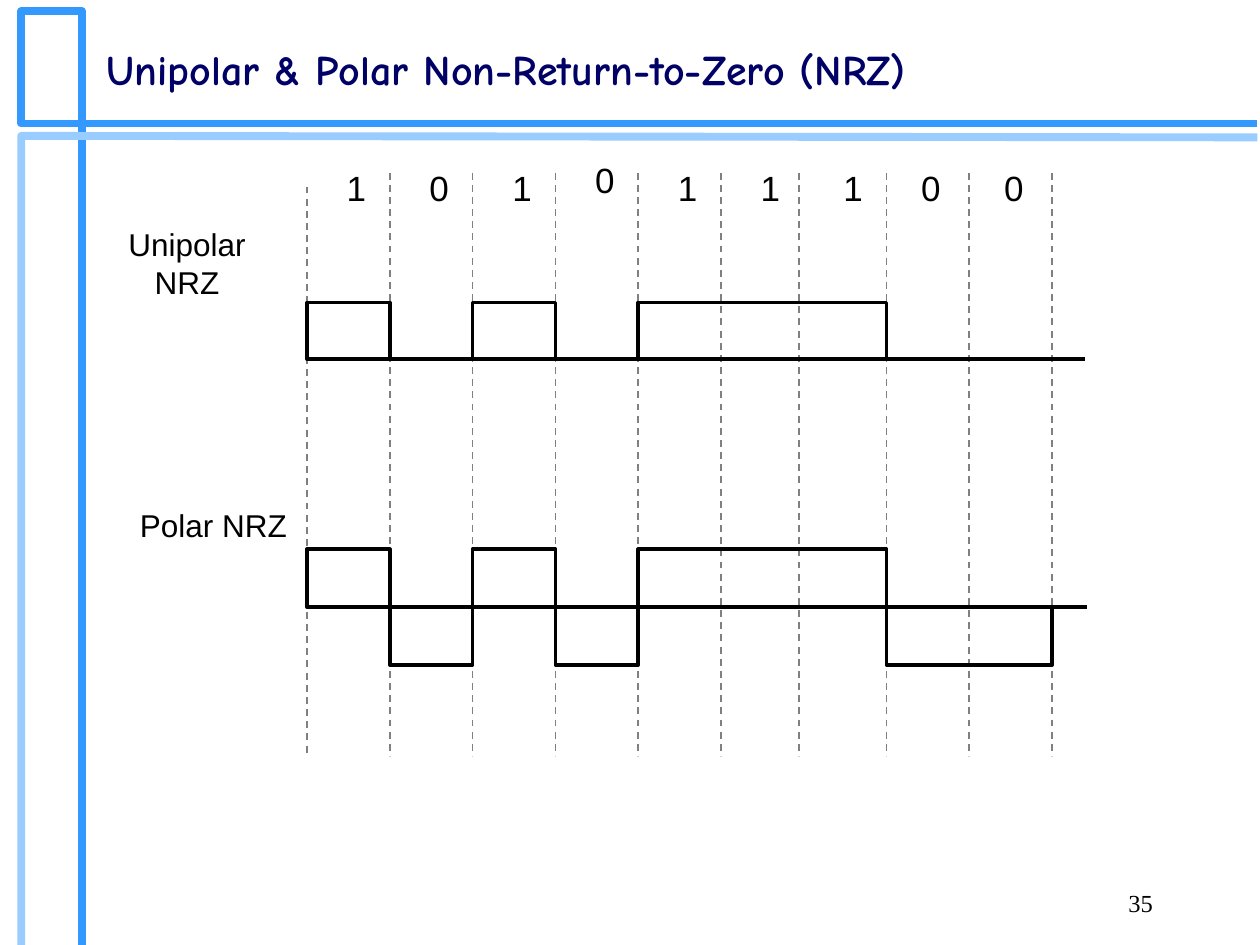
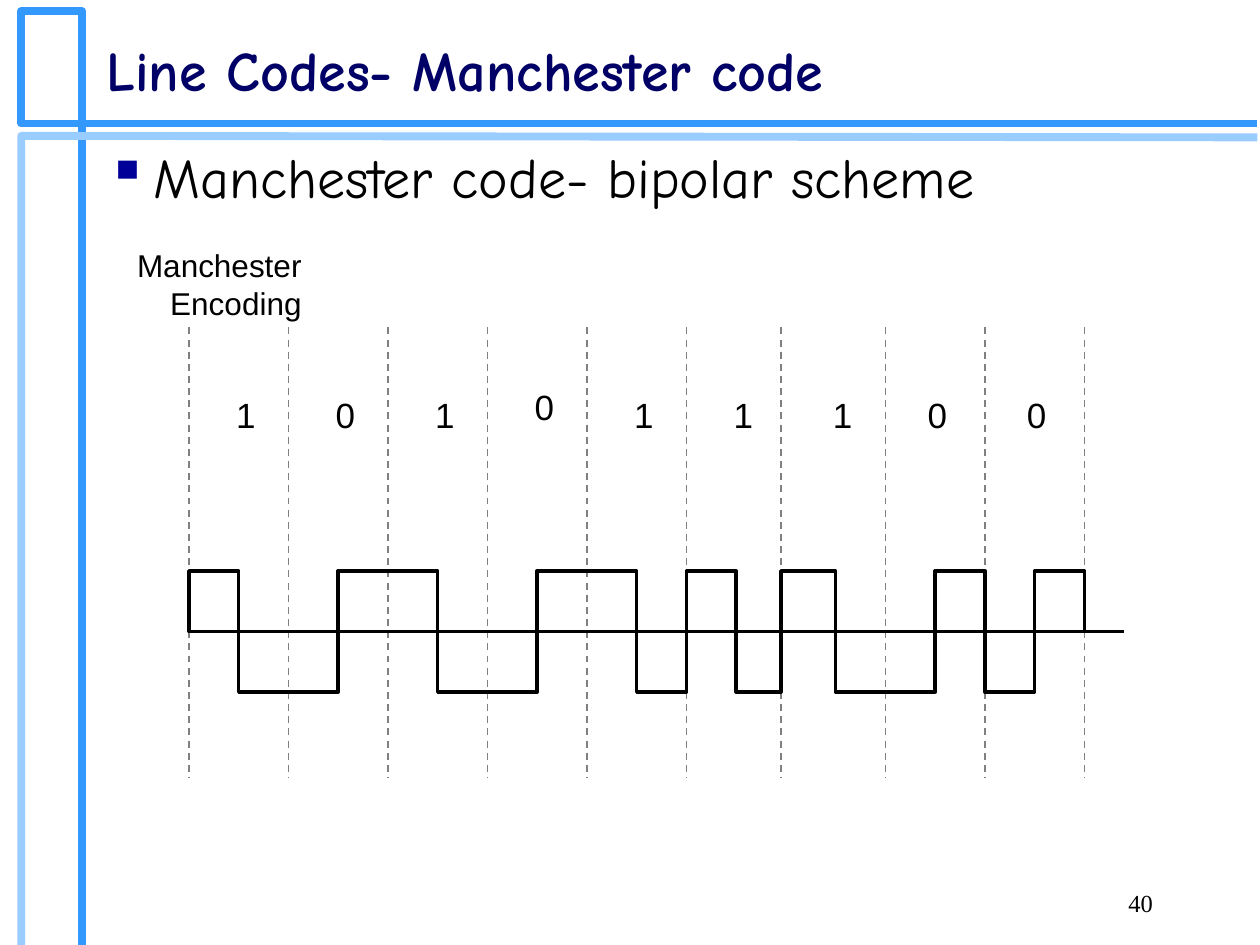
from dataclasses import dataclass
from itertools import groupby

from lxml.etree import SubElement
from pptx import Presentation
from pptx.dml.color import RGBColor
from pptx.enum.dml import MSO_LINE
from pptx.enum.shapes import MSO_CONNECTOR, MSO_SHAPE
from pptx.enum.text import MSO_ANCHOR, PP_ALIGN
from pptx.oxml.ns import qn
from pptx.util import Cm, Pt


@dataclass(frozen=True)
class Theme:
    blue: str = "3399FF"
    sky: str = "99CCFF"
    navy: str = "000066"
    mark: str = "000099"
    ink: str = "000000"
    grey: str = "808080"
    head: str = "Comic Neue"
    sans: str = "Arial"
    serif: str = "Times New Roman"
    big: int = 32
    mid: int = 24
    digit: int = 20
    label: int = 18
    small: int = 14
    band: float = 4.5
    wave: float = 2
    thin: float = 1


T = Theme()
BITS = (1, 0, 1, 0, 1, 1, 1, 0, 0)


@dataclass(frozen=True)
class Grid:
    """Bit slots between two edges, in cm."""
    first: float
    last: float

    def at(self, slot):
        return self.first + slot * (self.last - self.first) / len(BITS)

    def edge(self, slot):
        # The seventh rule stands slightly to the left
        return self.at(slot) - (0.1 if slot == 6 else 0)


# Basic elements

def stroke(line, color, width):
    line.color.rgb = RGBColor.from_string(color)
    line.width = Pt(width)


def add_text(shapes, box, text, size, font=T.sans, color=T.ink,
             align=PP_ALIGN.LEFT, bold=False, wrap=True):
    frame = shapes.add_textbox(*map(Cm, box)).text_frame
    frame.word_wrap = wrap
    para = frame.paragraphs[0]
    para.text = text
    para.alignment = align
    para.font.name = font
    para.font.size = Pt(size)
    para.font.bold = bold
    para.font.color.rgb = RGBColor.from_string(color)
    return frame


def add_line(shapes, start, end, color, width, dash=None):
    line = shapes.add_connector(MSO_CONNECTOR.STRAIGHT,
                                *map(Cm, start + end))
    stroke(line.line, color, width)
    if dash:
        line.line.dash_style = dash
    SubElement(line._element.spPr, qn("a:effectLst"))


def add_band(shapes, points, color):
    spots = [(Cm(x), Cm(y)) for x, y in points]
    pen = shapes.build_freeform(*spots[0])
    pen.add_line_segments(spots[1:], close=False)
    band = pen.convert_to_shape()
    band.shadow.inherit = False
    band.fill.background()
    stroke(band.line, color, T.band)


# Shared slide parts

def add_slide(deck, title, size, number):
    slide = deck.slides.add_slide(deck.slide_layouts[6])
    shapes = slide.shapes
    add_band(shapes, [(1.65, 19.05), (1.65, 0.23), (0.43, 0.23),
                      (0.43, 2.49), (25.35, 2.49)], T.blue)
    add_band(shapes, [(0.43, 19.05), (0.43, 2.74), (25.35, 2.77)], T.sky)
    head = add_text(shapes, (1.9, -0.2, 21.59, 3.18), title, size,
                    T.head, T.navy, bold=True)
    head.vertical_anchor = MSO_ANCHOR.MIDDLE
    add_text(shapes, (18.21, 17.78, 5.28, 1.27), number, T.small, T.serif,
             align=PP_ALIGN.RIGHT)
    return shapes


def add_bullet(shapes, text):
    frame = add_text(shapes, (1.9, 2.74, 21.59, 14.6), text, T.big, T.head)
    para = frame.paragraphs[0]
    para.space_before = Pt(8)
    props = para._p.get_or_add_pPr()
    props.set("marL", str(Cm(0.94)))
    props.set("indent", str(-Cm(0.94)))
    SubElement(SubElement(props, qn("a:buClr")),
               qn("a:srgbClr")).set("val", T.mark)
    SubElement(props, qn("a:buChar")).set("char", "▪")


# Signal diagram

def add_rules(shapes, grid, top, foot, drop=0):
    for slot in range(len(BITS) + 1):
        x = grid.edge(slot)
        y = top + (drop if slot == 0 else 0)
        add_line(shapes, (x, y), (x, foot), T.grey, T.thin, MSO_LINE.DASH)


def add_bits(shapes, grid, top, gap):
    for slot, bit in enumerate(BITS):
        x = grid.at(slot) + gap - (0.1 if slot > 6 else 0)
        y = top - (0.16 if slot == 3 else 0)
        add_text(shapes, (x, y, 0.89, 1.09), str(bit), T.digit, wrap=False)


def add_wave(shapes, grid, levels, base, tall, tail):
    """Draw each run of equal levels as one pulse above or below base."""
    add_line(shapes, (grid.first + 0.03, base), (tail, base), T.ink, T.wave)
    unit = len(BITS) / len(levels)
    slot = 0
    for level, run in groupby(levels):
        end = slot + unit * len(list(run))
        if level:
            left = grid.edge(slot)
            top = base - tall if level > 0 else base
            box = (left, top, grid.edge(end) - left, tall)
            pulse = shapes.add_shape(MSO_SHAPE.RECTANGLE, *map(Cm, box))
            pulse.shadow.inherit = False
            pulse.fill.background()
            stroke(pulse.line, T.ink, T.wave)
        slot = end


# Slides

def make_nrz(deck):
    shapes = add_slide(deck, "Unipolar & Polar Non-Return-to-Zero (NRZ)",
                       T.mid, "35")
    grid = Grid(6.19, 21.21)
    group = shapes.add_group_shape().shapes
    add_rules(group, grid, 3.48, 15.24, drop=0.28)
    add_bits(group, grid, 3.23, 0.55)
    add_wave(group, grid, BITS, 7.24, 1.14, 21.87)
    polar = [1 if bit else -1 for bit in BITS]
    add_wave(group, grid, polar, 12.24, 1.17, 21.92)
    add_text(shapes, (2.57, 10.08, 4.57, 1.02), "Polar NRZ", T.label)
    add_text(shapes, (1.6, 4.42, 4.34, 1.02), "Unipolar NRZ", T.label,
             align=PP_ALIGN.CENTER, wrap=False)


def make_code(deck):
    shapes = add_slide(deck, "Line Codes- Manchester code", T.big, "40")
    add_bullet(shapes, "Manchester code- bipolar scheme")
    grid = Grid(3.81, 21.86)
    group = shapes.add_group_shape().shapes
    add_rules(group, grid, 6.6, 15.67)
    add_bits(group, grid, 7.8, 0.7)
    # A one falls in mid-slot, a zero rises
    halves = [half for bit in BITS for half in ((1, -1) if bit else (-1, 1))]
    add_wave(group, grid, halves, 12.73, 1.22, 22.66)
    add_text(shapes, (1.68, 4.83, 4.65, 1.78), "Manchester Encoding",
             T.label, align=PP_ALIGN.RIGHT)


def main():
    deck = Presentation()
    deck.slide_width, deck.slide_height = Cm(25.4), Cm(19.05)
    make_nrz(deck)
    make_code(deck)
    deck.save("out.pptx")


main()
